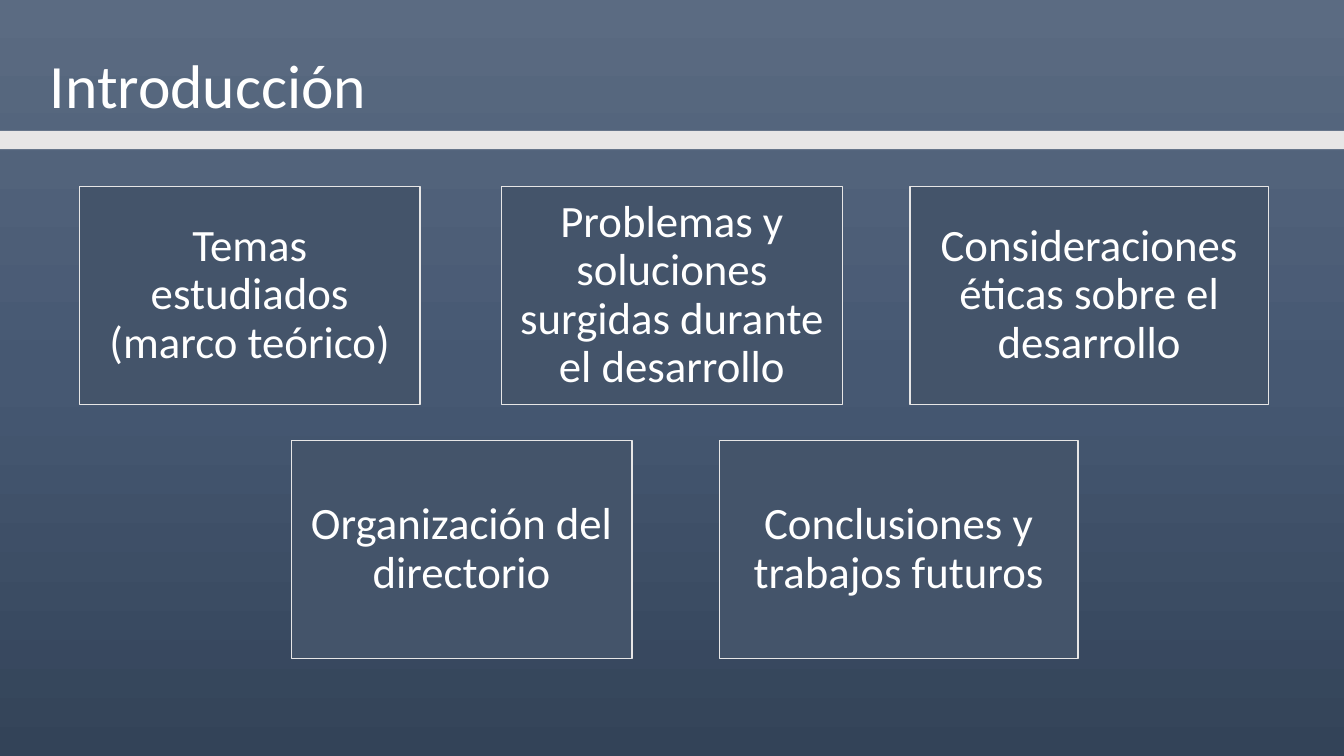
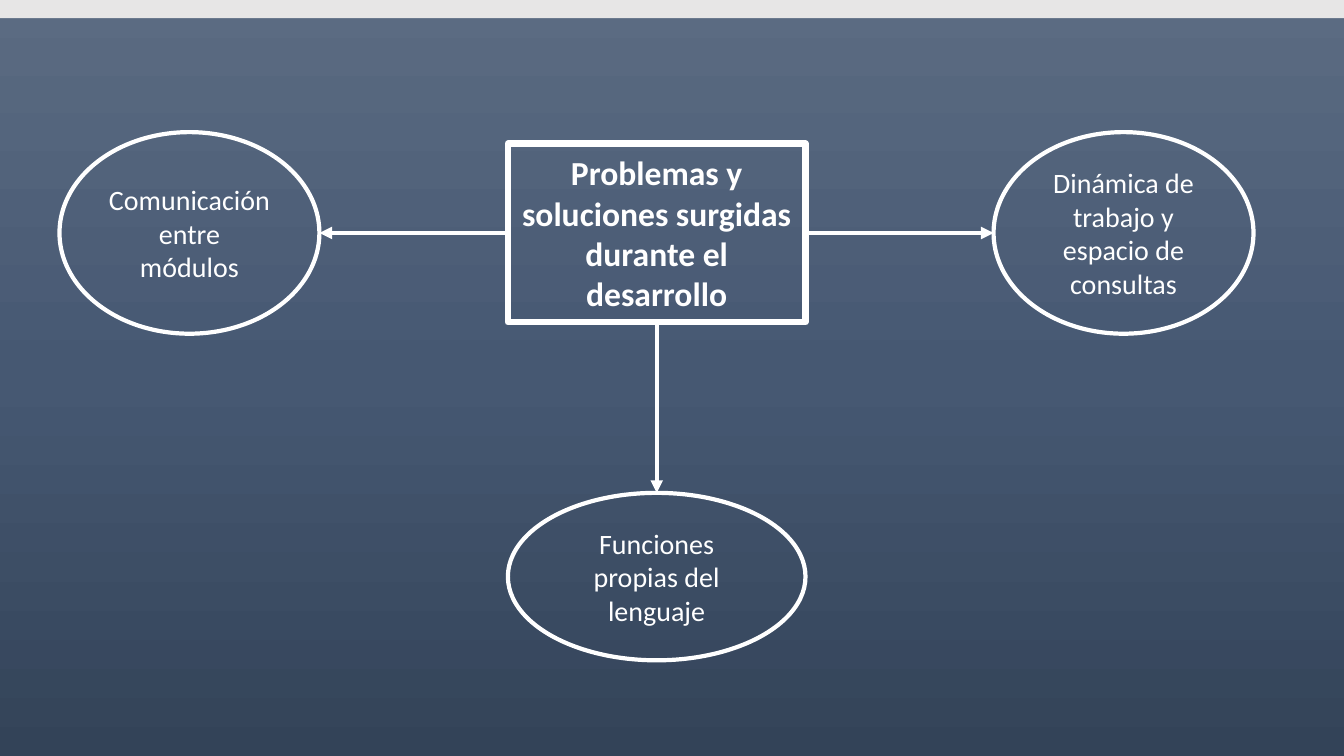
from copy import deepcopy

from pptx import Presentation
from pptx.dml.color import RGBColor
from pptx.enum.shapes import MSO_CONNECTOR, MSO_SHAPE
from pptx.enum.text import MSO_ANCHOR, PP_ALIGN
from pptx.oxml.ns import qn
from pptx.util import Cm, Pt
from lxml.etree import SubElement

WHITE = RGBColor(0xFF, 0xFF, 0xFF)
BAND = RGBColor(0xE7, 0xE6, 0xE6)
SLATE = RGBColor(0x44, 0x54, 0x6A)
GRADIENT = [
    (0, RGBColor(0x5B, 0x6B, 0x82)),
    (0.5, RGBColor(0x46, 0x58, 0x72)),
    (1, RGBColor(0x33, 0x43, 0x58)),
]
FONT = "Calibri"
PROBLEMS = "Problemas y soluciones surgidas durante el desarrollo"


def write(shape, text, size, align=PP_ALIGN.CENTER, spacing=1.0, bold=False):
    frame = shape.text_frame
    frame.text = text
    frame.word_wrap = True
    frame.vertical_anchor = MSO_ANCHOR.MIDDLE
    paragraph = frame.paragraphs[0]
    paragraph.alignment = align
    paragraph.line_spacing = spacing
    font = paragraph.runs[0].font
    font.name, font.size, font.bold = FONT, Pt(size), bold
    font.color.rgb = WHITE


def add_box(slide, kind, left, top, width, height, fill=None, line=None, weight=1):
    box = slide.shapes.add_shape(kind, Cm(left), Cm(top), Cm(width), Cm(height))
    box.shadow.inherit = False
    if fill is None:
        box.fill.background()
    else:
        box.fill.solid()
        box.fill.fore_color.rgb = fill
    if line is None:
        box.line.fill.background()
    else:
        box.line.color.rgb = line
        box.line.width = Pt(weight)
    return box


prs = Presentation()
prs.slide_width, prs.slide_height = Cm(33.87), Cm(19.05)

# Shared background: vertical three-stop gradient on the master
master = prs.slide_master
backdrop = master.background.fill
backdrop.gradient()
backdrop.gradient_angle = 270
stop_list = master.element.find(".//" + qn("a:gsLst"))
stop_list.append(deepcopy(stop_list[-1]))
for stop, (position, color) in zip(backdrop.gradient_stops, GRADIENT):
    stop.position = position
    stop.color.rgb = color

# Slides with their light band
intro = prs.slides.add_slide(prs.slide_layouts[5])
problems = prs.slides.add_slide(prs.slide_layouts[6])
for slide, band_top in [(intro, 3.3), (problems, 0)]:
    add_box(slide, MSO_SHAPE.RECTANGLE, 0, band_top, 33.87, 0.46, fill=BAND)

# Introduction: title
title = intro.shapes.title
title.left, title.top, title.width, title.height = Cm(1), Cm(0.4), Cm(29.2), Cm(3.68)
write(title, "Introducción", 44, align=PP_ALIGN.LEFT, spacing=0.9)

# Introduction: topics in two rows, as (left, width, text)
TOPIC_HEIGHT, TOPIC_INSET = 5.49, Cm(0.33)
topic_rows = [
    (4.7, [
        (2, 8.59, "Temas estudiados (marco teórico)"),
        (12.64, 8.59, PROBLEMS),
        (22.93, 9.04, "Consideraciones éticas sobre el desarrollo"),
    ]),
    (11.1, [
        (7.34, 8.59, "Organización del directorio"),
        (18.13, 9.04, "Conclusiones y trabajos futuros"),
    ]),
]
for top, topics in topic_rows:
    for left, width, text in topics:
        topic = add_box(intro, MSO_SHAPE.RECTANGLE, left, top, width, TOPIC_HEIGHT,
                        fill=SLATE, line=BAND)
        write(topic, text, 32, spacing=0.9)
        frame = topic.text_frame
        frame.margin_left = frame.margin_right = TOPIC_INSET
        frame.margin_top = frame.margin_bottom = TOPIC_INSET

# Problems: central box
HUB_LEFT, HUB_TOP, HUB_WIDTH, HUB_HEIGHT = 12.8, 3.62, 7.5, 4.5
hub_right, hub_bottom = HUB_LEFT + HUB_WIDTH, HUB_TOP + HUB_HEIGHT
hub_x, hub_y = HUB_LEFT + HUB_WIDTH / 2, HUB_TOP + HUB_HEIGHT / 2
hub = add_box(problems, MSO_SHAPE.RECTANGLE, HUB_LEFT, HUB_TOP, HUB_WIDTH, HUB_HEIGHT,
              line=WHITE, weight=4.5)
write(hub, PROBLEMS, 24, bold=True)

# Problems: ellipses around the box
SIDE_WIDTH, SIDE_HEIGHT = 6.55, 5.08
side_top = hub_y - SIDE_HEIGHT / 2
left_x, right_x, lower_y = 1.5, 25.04, 12.42
ellipses = [
    (left_x, side_top, SIDE_WIDTH, SIDE_HEIGHT, "Comunicación entre módulos"),
    (HUB_LEFT, lower_y, HUB_WIDTH, 4.22, "Funciones propias del lenguaje"),
    (right_x, side_top, SIDE_WIDTH, SIDE_HEIGHT,
     "Dinámica de trabajo y espacio de consultas"),
]
for left, top, width, height, text in ellipses:
    problem = add_box(problems, MSO_SHAPE.OVAL, left, top, width, height,
                      line=WHITE, weight=3)
    write(problem, text, 20)

# Problems: arrows from the box to each ellipse
arrows = [
    (HUB_LEFT, hub_y, left_x + SIDE_WIDTH, hub_y),
    (hub_x, hub_bottom, hub_x, lower_y),
    (hub_right, hub_y, right_x, hub_y),
]
for ends in arrows:
    arrow = problems.shapes.add_connector(MSO_CONNECTOR.STRAIGHT, *map(Cm, ends))
    arrow.line.color.rgb = WHITE
    arrow.line.width = Pt(3)
    SubElement(arrow.line._get_or_add_ln(), qn("a:tailEnd"), type="triangle")
    SubElement(arrow._element.spPr, qn("a:effectLst"))

prs.save("out.pptx")
